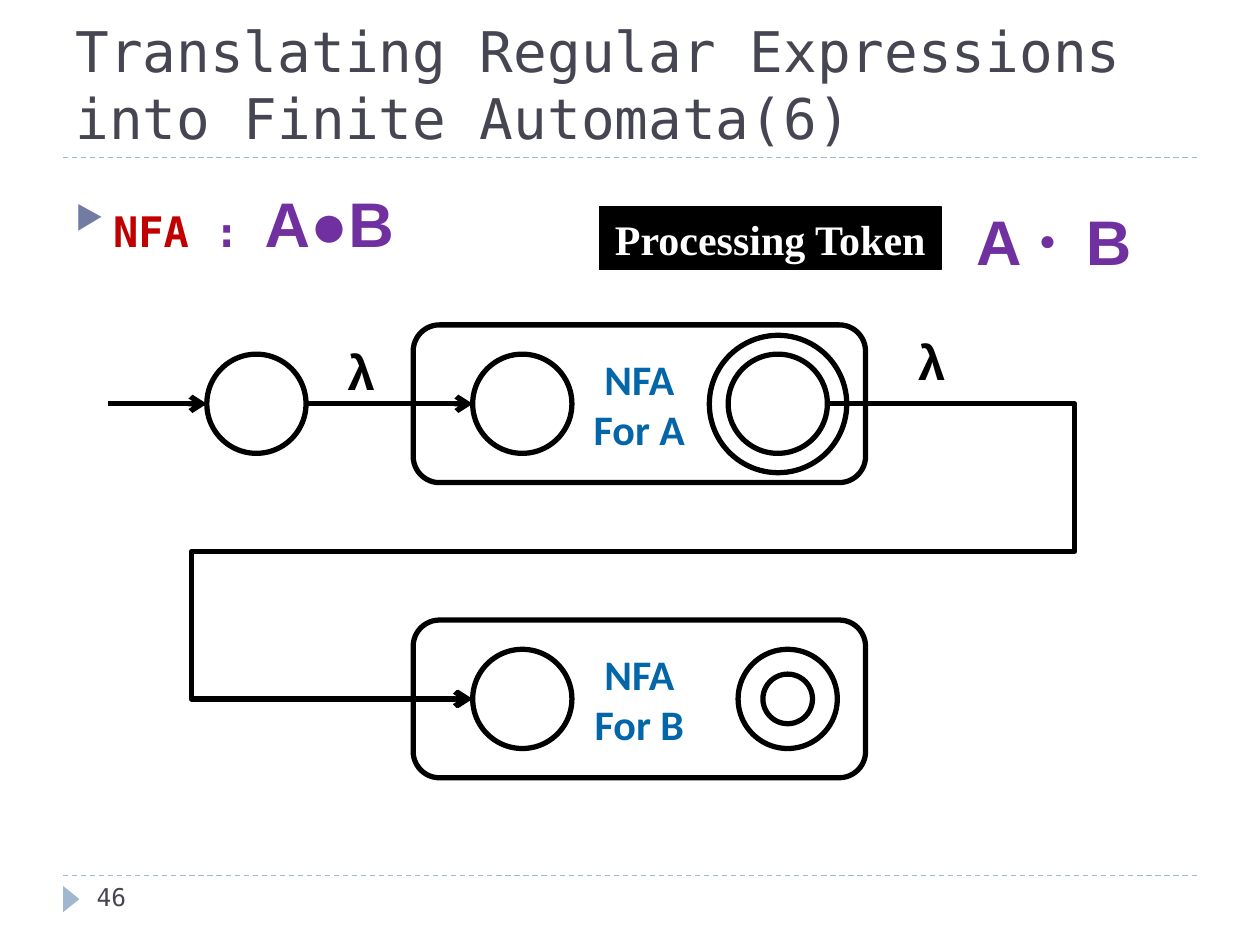
from pptx import Presentation
from pptx.dml.color import RGBColor
from pptx.enum.dml import MSO_LINE
from pptx.enum.shapes import MSO_CONNECTOR, MSO_SHAPE
from pptx.enum.text import MSO_ANCHOR, PP_ALIGN
from pptx.oxml.ns import qn
from pptx.util import Cm, Pt
from lxml import etree

DASH = MSO_LINE.DASH
LINE, ELBOW = MSO_CONNECTOR.STRAIGHT, MSO_CONNECTOR.ELBOW
OVAL, ROUND, RECT = MSO_SHAPE.OVAL, MSO_SHAPE.ROUNDED_RECTANGLE, MSO_SHAPE.RECTANGLE
DONUT, TRI = MSO_SHAPE.DONUT, MSO_SHAPE.ISOSCELES_TRIANGLE
TOP, MID, BASE = MSO_ANCHOR.TOP, MSO_ANCHOR.MIDDLE, MSO_ANCHOR.BOTTOM
LEFT, CENTER = PP_ALIGN.LEFT, PP_ALIGN.CENTER

MONO, SANS = "DejaVu Sans Mono", "Arial"
BLACK, WHITE, SLATE = "000000", "FFFFFF", "464653"
PURPLE, BLUE, PALE = "7030A0", "0366A9", "9FB8CD"
SIZE = 2      # state diameter
MAIN = 8.14   # height of the upper row's centre
DROP = 5.95   # distance between the two rows


def color(code):
    return RGBColor.from_string(code)


def add_run(par, text, size, font, code, bold=False):
    run = par.add_run()
    run.text = text
    run.font.size, run.font.name, run.font.bold = Pt(size), font, bold
    run.font.color.rgb = color(code)


def write(frame, text, size=24, font=SANS, code=BLACK, bold=True,
          align=LEFT, anchor=TOP, wrap=True):
    frame.word_wrap, frame.vertical_anchor = wrap, anchor
    for i, line in enumerate(text.split("\n")):
        par = frame.add_paragraph() if i else frame.paragraphs[0]
        par.alignment = align
        for j, part in enumerate(line.split("\v")):
            if j:
                par.add_line_break()
            add_run(par, part, size, font, code, bold)


def add_text(slide, box, text, **style):
    frame = slide.shapes.add_textbox(*map(Cm, box)).text_frame
    write(frame, text, **style)


def add_shape(slide, kind, box, fill=None, edge=BLACK, width=3):
    shape = slide.shapes.add_shape(kind, *map(Cm, box))
    shape.shadow.inherit = False
    if fill:
        shape.fill.solid()
        shape.fill.fore_color.rgb = color(fill)
    else:
        shape.fill.background()
    if edge:
        shape.line.color.rgb = color(edge)
        shape.line.width = Pt(width)
    else:
        shape.line.fill.background()
    return shape


def add_state(slide, left, mid, kind=OVAL):
    return add_shape(slide, kind, (left, mid - SIZE / 2, SIZE, SIZE), WHITE)


def add_line(slide, ends, kind=LINE, code=BLACK, width=3, arrow=True):
    line = slide.shapes.add_connector(kind, *map(Cm, ends))
    line.line.color.rgb = color(code)
    line.line.width = Pt(width)
    if arrow:
        etree.SubElement(line.line._get_or_add_ln(), qn("a:tailEnd"), type="arrow")
    etree.SubElement(line._element.spPr, qn("a:effectLst"))
    return line


def bend(line, *turns):
    """Give an elbow connector five legs, with turns in 1/100000."""
    geom = line._element.spPr.find(qn("a:prstGeom"))
    geom.set("prst", "bentConnector5")
    guides = geom.find(qn("a:avLst"))
    if guides is None:
        guides = etree.SubElement(geom, qn("a:avLst"))
    for i, turn in enumerate(turns, 1):
        etree.SubElement(guides, qn("a:gd"), name=f"adj{i}", fmla=f"val {turn}")


def add_rule(slide, top):
    rule = add_line(slide, (1.27, top, 24.13, top), code=PALE, width=0.75, arrow=False)
    rule.line.dash_style = DASH


def add_topic(slide):
    frame = slide.shapes.add_textbox(Cm(1.27), Cm(3.38), Cm(22.86), Cm(13.72)).text_frame
    frame.word_wrap = True
    frame.margin_top = Cm(0.34)
    par = frame.paragraphs[0]
    props = par._p.get_or_add_pPr()
    props.set("marL", str(Cm(0.76)))
    props.set("indent", str(-Cm(0.76)))
    tint = etree.SubElement(props, qn("a:buClr"))
    etree.SubElement(tint, qn("a:srgbClr"), val="727CA3")
    etree.SubElement(props, qn("a:buSzPct"), val="76000")
    etree.SubElement(props, qn("a:buChar"), char="▶")
    add_run(par, "NFA ", 24, MONO, "C00000", True)
    add_run(par, ": ", 24, MONO, PURPLE, True)
    add_run(par, "Α●Β", 36, SANS, PURPLE, True)


def add_box(slide, name, mid):
    box = add_shape(slide, ROUND, (8.33, mid - 1.59, 9.12, 3.18))
    write(box.text_frame, f"NFA\nFor {name}", font="Calibri", code=BLUE,
          align=CENTER, anchor=MID)
    add_state(slide, 9.53, mid)


def main():
    deck = Presentation()
    deck.slide_width, deck.slide_height = Cm(25.4), Cm(19.05)
    slide = deck.slides.add_slide(deck.slide_layouts[6])

    # Frame of the page
    add_rule(slide, 17.65)
    add_rule(slide, 3.18)
    mark = add_shape(slide, TRI, (1.17, 17.96, 0.53, 0.33), PALE, None)
    mark.rotation = 90
    add_text(slide, (1.27, 0.43, 22.86, 2.74),
             "Translating Regular Expressions \vinto Finite Automata(6)",
             size=32, font=MONO, code=SLATE, bold=False, anchor=BASE)
    add_text(slide, (1.7, 17.65, 5.51, 1.02), "46",
             size=14, font=MONO, code=SLATE, bold=False)
    add_topic(slide)

    # Upper row: start state and automaton A
    low = MAIN + DROP
    add_shape(slide, OVAL, (14.3, 6.76, 2.77, 2.77))
    add_state(slide, 4.17, MAIN)
    add_line(slide, (2.18, MAIN, 4.17, MAIN))
    add_line(slide, (6.17, MAIN, 9.53, MAIN))
    add_box(slide, "A", MAIN)
    add_state(slide, 14.68, MAIN)

    # Link down to automaton B
    link = add_line(slide, (16.69, MAIN, 9.53, low), ELBOW)
    bend(link, -69500, 50000, 179200)
    ring = add_state(slide, 14.88, low, DONUT)
    ring.adjustments[0] = 0.25
    add_box(slide, "B", low)
    add_line(slide, (5.92, low, 9.5, low))

    # Empty moves
    for left, top in ((18.26, 6.55), (6.76, 6.76)):
        add_text(slide, (left, top, 1.07, 1.45), "λ", size=28)

    # Token being processed
    token = add_shape(slide, RECT, (12.09, 4.17, 6.88, 1.27), BLACK, width=0.75)
    write(token.text_frame, "Processing Token", font="Times New Roman",
          code=WHITE, align=CENTER, wrap=False)
    for text, size, box in (("Α", 36, (19.43, 3.96, 1.47, 1.78)),
                            ("●", 16, (20.7, 4.37, 0.94, 0.94)),
                            ("Β", 36, (21.64, 3.96, 1.37, 1.78))):
        add_text(slide, box, text, size=size, code=PURPLE, wrap=False)

    deck.save("out.pptx")


if __name__ == "__main__":
    main()
